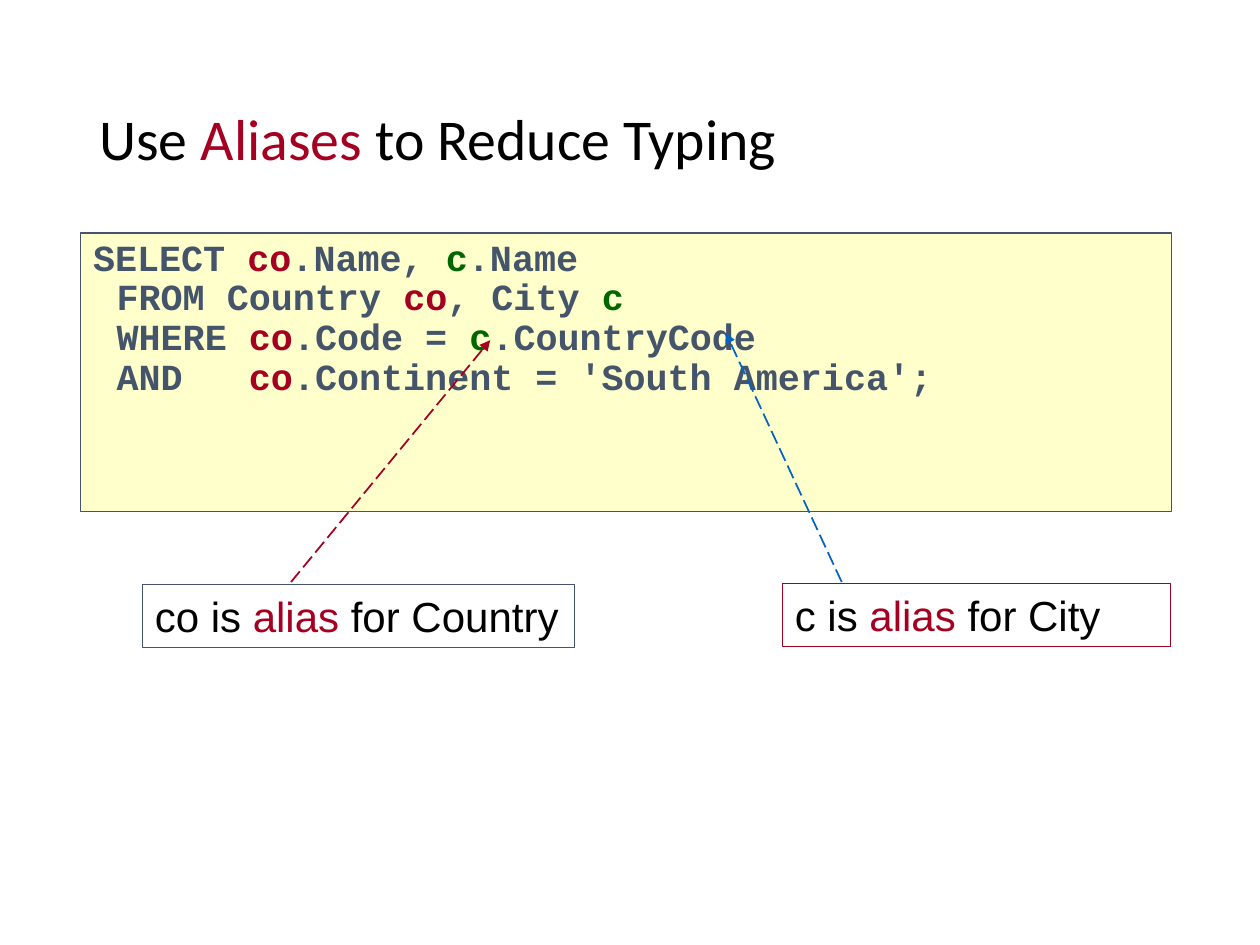
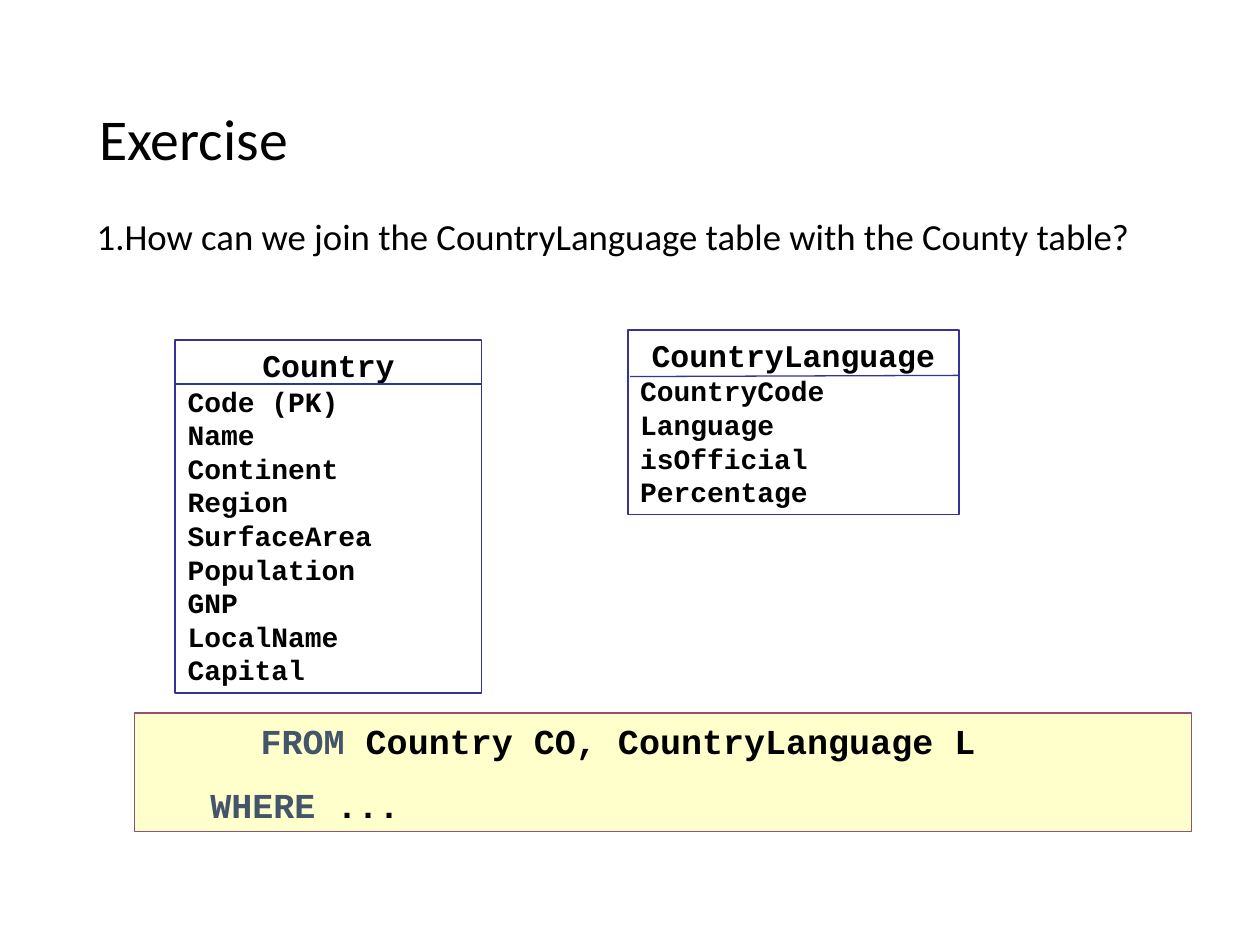
from lxml.etree import SubElement
from pptx import Presentation
from pptx.dml.color import RGBColor
from pptx.enum.dml import MSO_LINE
from pptx.enum.shapes import MSO_CONNECTOR, MSO_SHAPE
from pptx.enum.text import MSO_ANCHOR, MSO_AUTO_SIZE, PP_ALIGN
from pptx.oxml.ns import qn
from pptx.util import Pt

color = RGBColor.from_string
BLACK, RED, GREEN, BLUE = "000000", "A50021", "006600", "0563C1"
SLATE, PLUM, NAVY, CREAM = "44546A", "954F72", "333399", "FFFFCC"
CODE_FONT = "Courier New"
TITLE = dict(place=(49.7, 28.8, 621.4, 104.4), size=33, spacing=0.9, anchor=MSO_ANCHOR.MIDDLE)


def add_box(page, lines, place, size, font="Calibri", bold=False, fill=None, line=None,
            weight=0.75, spacing=None, gap=0, anchor=MSO_ANCHOR.TOP, grow=False):
    """Add a text box, or a rectangle if it has a line.

    Each line is a list of spans: (text, colour) or (text, colour, size, bold).
    """
    place = [Pt(length) for length in place]
    if line:
        box = page.shapes.add_shape(MSO_SHAPE.RECTANGLE, *place)
        box.shadow.inherit = False
        box.line.color.rgb = color(line)
        box.line.width = Pt(weight)
        if fill:
            box.fill.solid()
            box.fill.fore_color.rgb = color(fill)
        else:
            box.fill.background()
    else:
        box = page.shapes.add_textbox(*place)
    frame = box.text_frame
    frame.word_wrap = True
    frame.vertical_anchor = anchor
    frame.auto_size = MSO_AUTO_SIZE.SHAPE_TO_FIT_TEXT if grow else MSO_AUTO_SIZE.NONE
    for index, spans in enumerate(lines):
        para = frame.paragraphs[0] if index == 0 else frame.add_paragraph()
        para.alignment = PP_ALIGN.LEFT
        if spacing:
            para.line_spacing = spacing
        if index and gap:
            para.space_before = Pt(gap)
        for text, tint, *style in spans:
            if text == "\n":
                para.add_line_break()
                continue
            span = para.add_run()
            span.text = text
            span.font.name = font
            span.font.size, span.font.bold = (Pt(style[0]), style[1]) if style else (Pt(size), bold)
            span.font.color.rgb = color(tint)
    return box


def add_line(page, start, end, tint, weight=0.75, arrow=False):
    """Add a straight line, or a dashed arrow."""
    ends = [Pt(length) for length in (*start, *end)]
    connector = page.shapes.add_connector(MSO_CONNECTOR.STRAIGHT, *ends)
    connector.line.color.rgb = color(tint)
    connector.line.width = Pt(weight)
    properties = connector._element.spPr
    if arrow:
        connector.line.dash_style = MSO_LINE.LONG_DASH
        SubElement(properties.find(qn("a:ln")), qn("a:tailEnd"), type="triangle")
    SubElement(properties, qn("a:effectLst"))


deck = Presentation()
deck.slide_width, deck.slide_height = Pt(720), Pt(540)
blank = deck.slide_layouts[6]

# Aliases
page = deck.slides.add_slide(blank)
add_box(page, [[("Use ", BLACK), ("Aliases", RED), (" to Reduce Typing", BLACK)]], **TITLE)

line_break, country, city = ("\n", SLATE), ("co", RED), ("c", GREEN)
query = [
    ("SELECT ", SLATE), country, (".Name, ", SLATE), city, (".Name ", SLATE), line_break,
    ("FROM Country ", SLATE), country, (", City ", SLATE), city, line_break,
    ("WHERE ", SLATE), country, (".Code = ", SLATE), city, (".CountryCode", SLATE), line_break,
    ("AND   ", SLATE), country, (".Continent = 'South America';", SLATE),
]
query_box = add_box(page, [query], (46.1, 133.2, 623.5, 159.1), 21, CODE_FONT, bold=True,
                    fill=CREAM, line=SLATE, spacing=0.9)

callouts = [
    ("c", "City", (447.1, 333.4, 221.8, 36), RED, (481, 332.6), (414.7, 190.1), BLUE),
    ("co", "Country", (81.4, 334.1, 247, 36), SLATE, (166.3, 332.6), (280.1, 194.4), RED),
]
for alias, table, place, outline, *_ in callouts:
    add_box(page, [[(f"{alias} is ", BLACK), ("alias", RED), (f" for {table}", BLACK)]],
            place, 24, "Arial", line=outline, grow=True)
for *_, start, end, tint in callouts:
    add_line(page, start, end, tint, 1, arrow=True)

# Exercise
page = deck.slides.add_slide(blank)
add_box(page, [[("Exercise", BLACK)]], **TITLE)

question = "How can we join the CountryLanguage table with the County table?"
question_box = add_box(page, [[(question, BLACK)]], (48.2, 121.7, 623.5, 74.2), 21, spacing=0.9)

for hanging_box in (query_box, question_box):
    indents = hanging_box.text_frame.paragraphs[0]._p.get_or_add_pPr()
    indents.set("marL", str(Pt(13.5)))
    indents.set("indent", str(Pt(-13.5)))
SubElement(SubElement(indents, qn("a:buClr")), qn("a:srgbClr"), val=BLACK)
SubElement(indents, qn("a:buAutoNum"), type="arabicPeriod")

entities = [
    ("Country",
     ["Code (PK)", "Name", "Continent", "Region", "SurfaceArea", "Population", "GNP",
      "LocalName", "Capital"],
     (100.2, 194.4, 175, 201.6), (99.4, 219.4), (275.6, 219.4)),
    ("CountryLanguage",
     ["CountryCode", "Language", "isOfficial", "Percentage"],
     (358.7, 188.5, 189.3, 105.6), (360, 215.2), (548.4, 214.5)),
]
for name, fields, place, rule_start, rule_end in entities:
    lines = [[(name, BLACK, 18, True)]] + [[(field, BLACK)] for field in fields]
    entity_box = add_box(page, lines, place, 16, CODE_FONT, bold=True, line=NAVY, weight=1,
                         grow=True)
    entity_box.text_frame.paragraphs[0].alignment = PP_ALIGN.CENTER
    add_line(page, rule_start, rule_end, NAVY)

answer = [
    [("      ", BLACK, 18, False), ("FROM", SLATE), (" Country CO, CountryLanguage L", BLACK)],
    [("   ", BLACK), ("WHERE", SLATE), (" ...", BLACK)],
]
add_box(page, answer, (77, 407.5, 604.1, 67.7), 20, CODE_FONT, bold=True, fill=CREAM,
        line=PLUM, gap=12.5, grow=True)

deck.save("out.pptx")
